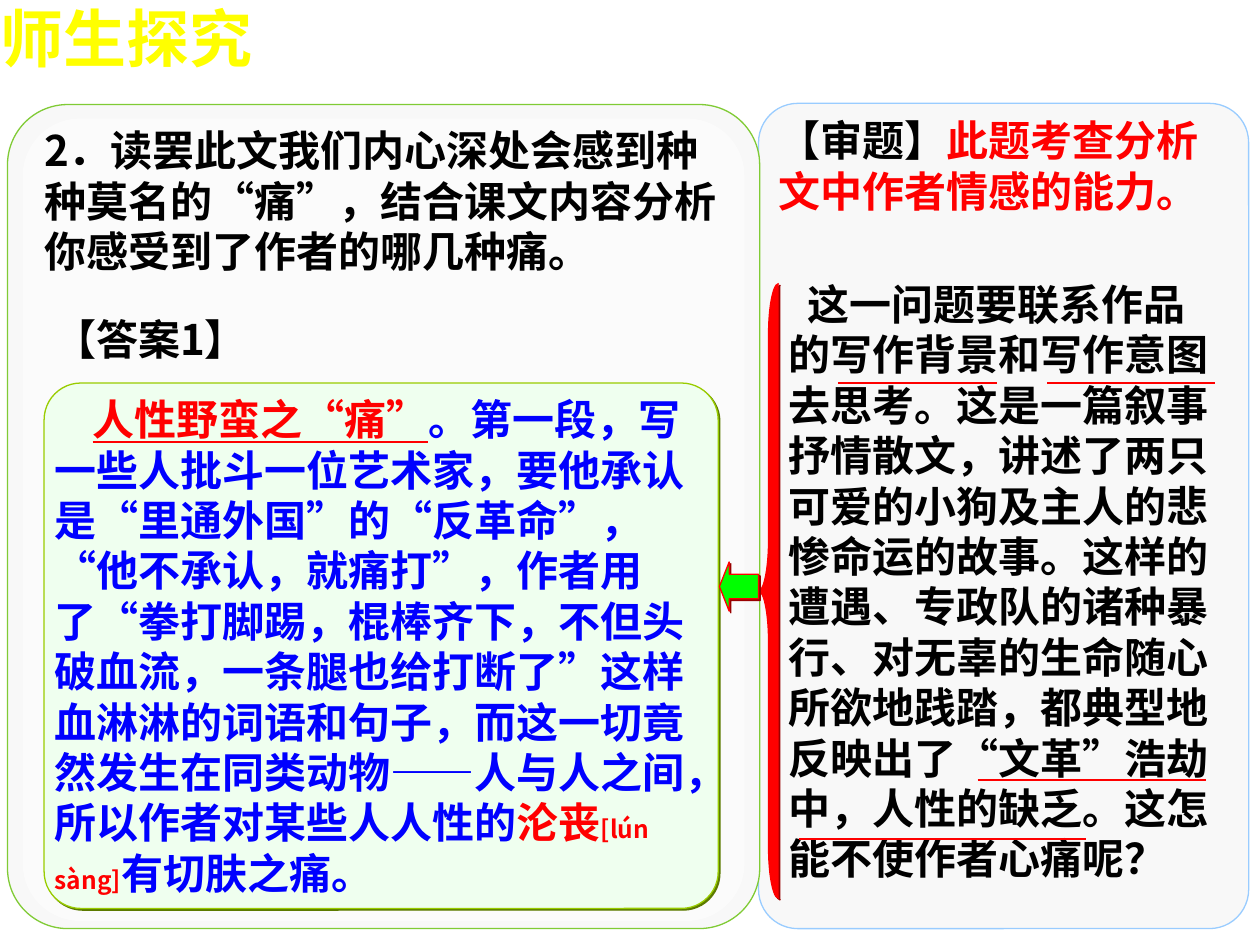
"""Build the classroom slide on the kinds of pain felt in the text."""
import pptx
import pptx.dml.color
import pptx.enum.shapes
import pptx.enum.text
import pptx.oxml
import pptx.oxml.ns
import pptx.util

Inches = pptx.util.Inches
Pt = pptx.util.Pt
RGBColor = pptx.dml.color.RGBColor
Shape = pptx.enum.shapes.MSO_SHAPE
Anchor = pptx.enum.text.MSO_ANCHOR
qn = pptx.oxml.ns.qn

BLACK = RGBColor(0x00, 0x00, 0x00)
WHITE = RGBColor(0xFF, 0xFF, 0xFF)
RED = RGBColor(0xFF, 0x00, 0x00)
DARK_RED = RGBColor(0x99, 0x00, 0x00)
BLUE = RGBColor(0x00, 0x00, 0xFF)
YELLOW = RGBColor(0xFF, 0xFF, 0x00)
GREEN = RGBColor(0x00, 0xFF, 0x00)
GREY = RGBColor(0x80, 0x80, 0x80)
CARD = RGBColor(0xF8, 0xF8, 0xF8)
SKY = RGBColor(0x99, 0xCC, 0xFF)
LEAF = RGBColor(0x80, 0xCB, 0x35)
MINT = RGBColor(0xEF, 0xFF, 0xEF)
LIME = RGBColor(0x99, 0xCC, 0x00)
OLIVE = RGBColor(0x5C, 0x7A, 0x00)

CJK_FONT = "Noto Sans CJK SC"
CARD_ROUNDING = 0.08


def effects(shadow=None):
    """Return an effect list, with a diagonal shadow when a colour is given."""
    outer = (
        f'<a:outerShdw dist="17780" dir="2700000" algn="ctr" rotWithShape="0">'
        f'<a:srgbClr val="{shadow}"/></a:outerShdw>' if shadow else ""
    )
    return pptx.oxml.parse_xml(
        f'<a:effectLst {pptx.oxml.ns.nsdecls("a")}>{outer}</a:effectLst>'
    )


def add_figure(slide, kind, box, fill, line=None, adjustments=(), shadow=None):
    """Add a filled preset shape."""
    figure = slide.shapes.add_shape(kind, *map(Inches, box))
    for index, value in enumerate(adjustments):
        figure.adjustments[index] = value
    figure.fill.solid()
    figure.fill.fore_color.rgb = fill
    if line is None:
        figure.line.fill.background()
    else:
        figure.line.color.rgb = line
        figure.line.width = Pt(0.75)
    if shadow is None:
        figure.shadow.inherit = False
    else:
        figure._element.spPr.append(effects(shadow))
    return figure


def make_translucent(figure, percent):
    """Give the solid fill of a figure the stated opacity."""
    colour = figure._element.spPr.find(qn("a:solidFill"))[0]
    alpha = pptx.oxml.parse_xml(
        f'<a:alpha {pptx.oxml.ns.nsdecls("a")} val="{percent * 1000}"/>'
    )
    colour.append(alpha)


def write_text(frame, runs, anchor=Anchor.TOP, indent=0, shadow=GREY, **base):
    """Write one paragraph of (text, format) runs without margins."""
    layout = {"word_wrap": True, "vertical_anchor": anchor, "margin_left": 0,
              "margin_top": 0, "margin_right": 0, "margin_bottom": 0}
    for name, value in layout.items():
        setattr(frame, name, value)
    paragraph = frame.paragraphs[0]
    paragraph.alignment = pptx.enum.text.PP_ALIGN.LEFT
    if indent:
        paragraph._p.get_or_add_pPr().set("indent", str(Inches(indent)))
    for text, changes in runs:
        run = paragraph.add_run()
        run.text = text
        style = {"size": Pt(24), "name": CJK_FONT, "bold": True, **base, **changes}
        colour = style.pop("colour", BLACK)
        for name, value in style.items():
            setattr(run.font, name, value)
        run.font.color.rgb = colour
        latin = run._r.rPr.find(qn("a:latin"))
        east_asian = latin.makeelement(qn("a:ea"), {"typeface": CJK_FONT})
        latin.addnext(east_asian)
        if shadow is not None:
            latin.addprevious(effects(shadow))
    paragraph.line_spacing = Pt(1.2 * base.get("size", Pt(24)).pt)


def add_text(slide, box, runs, **style):
    """Add a text box."""
    label = slide.shapes.add_textbox(*map(Inches, box))
    write_text(label.text_frame, runs, **style)


def add_underline(slide, left, right, y):
    """Add a horizontal red marking line."""
    mark = slide.shapes.add_connector(
        pptx.enum.shapes.MSO_CONNECTOR.STRAIGHT,
        Inches(left), Inches(y), Inches(right), Inches(y),
    )
    mark.line.color.rgb = RED
    mark.line.width = Pt(1)
    mark._element.spPr.append(effects())


def add_cards(slide):
    """Add the two background cards and the pale inner panel."""
    for box, line in (
        ((6.02, 0.82, 3.89, 6.55), SKY),
        ((0.06, 0.83, 5.97, 6.54), LEAF),
    ):
        add_figure(slide, Shape.ROUNDED_RECTANGLE, box, CARD, line, [CARD_ROUNDING])
    panel = add_figure(slide, Shape.ROUNDED_RECTANGLE, (0.18, 0.94, 5.73, 6.37),
                       WHITE, adjustments=[CARD_ROUNDING])
    make_translucent(panel, 50)


def add_question(slide):
    """Add the heading, the question and the first answer."""
    add_text(slide, (0, 0, 3.35, 0.6), [("师生探究", {})],
             size=Pt(36), name="Arial", colour=YELLOW)
    add_text(slide, (0.35, 0.99, 5.36, 1.2), [(
        "2．读罢此文我们内心深处会感到种种莫名的“痛”，"
        "结合课文内容分析你感受到了作者的哪几种痛。", {})], anchor=Anchor.MIDDLE)
    answer = add_figure(slide, Shape.ROUNDED_RECTANGLE, (0.35, 3.04, 5.35, 4.17),
                        MINT, LIME, [0.07], OLIVE)
    write_text(answer.text_frame, [
        ("人性野蛮之“痛”", {"colour": RED, "underline": True}),
        ("。第一段，写一些人批斗一位艺术家，要他承认是“里通外国”的“反革命”，"
         "“他不承认，就痛打”，作者用了“拳打脚踢，棍棒齐下，不但头破血流，"
         "一条腿也给打断了”这样血淋淋的词语和句子，而这一切竟然发生在同类动物"
         "——人与人之间，所以作者对某些人人性的", {}),
        ("沦丧", {"colour": RED}),
        ("[lún sàng]", {"colour": RED, "size": Pt(14)}),
        ("有切肤之痛。", {}),
    ], anchor=Anchor.MIDDLE, indent=0.3, shadow=None, colour=BLUE)


def add_analysis(slide):
    """Add the analysis of the question with its marked phrases."""
    add_text(slide, (6.26, 2.21, 3.39, 4.8), [(
        "这一问题要联系作品的写作背景和写作意图去思考。这是一篇叙事抒情散文，"
        "讲述了两只可爱的小狗及主人的悲惨命运的故事。这样的遭遇、专政队的诸种暴行、"
        "对无辜的生命随心所欲地践踏，都典型地反映出了“文革”浩劫中，人性的缺乏。"
        "这怎能不使作者心痛呢？", {})], anchor=Anchor.MIDDLE, indent=0.15)
    add_text(slide, (6.18, 0.91, 3.54, 0.8), [
        ("【审题】", {}),
        ("此题考查分析文中作者情感的能力。", {"colour": RED}),
    ])
    add_text(slide, (0.43, 2.49, 1.81, 0.4), [("【答案1】", {})])
    for left, right, y in (
        (6.65, 7.91, 3.04), (8.31, 9.64, 3.04), (7.76, 9.57, 6.19), (6.34, 8.62, 6.66),
    ):
        add_underline(slide, left, right, y)
    add_figure(slide, Shape.LEFT_BRACE, (6.02, 2.25, 0.16, 4.88),
               RED, RED, [2.55, 0.5], DARK_RED)
    add_figure(slide, Shape.LEFT_ARROW, (5.71, 4.46, 0.31, 0.39),
               GREEN, RED, [0.5, 0.25], DARK_RED)


def main():
    """Build and save the slide."""
    deck = pptx.Presentation()
    deck.slide_width, deck.slide_height = Inches(10), Inches(7.5)
    slide = deck.slides.add_slide(deck.slide_layouts[6])
    add_cards(slide)
    add_question(slide)
    add_analysis(slide)
    deck.save("out.pptx")


if __name__ == "__main__":
    main()
